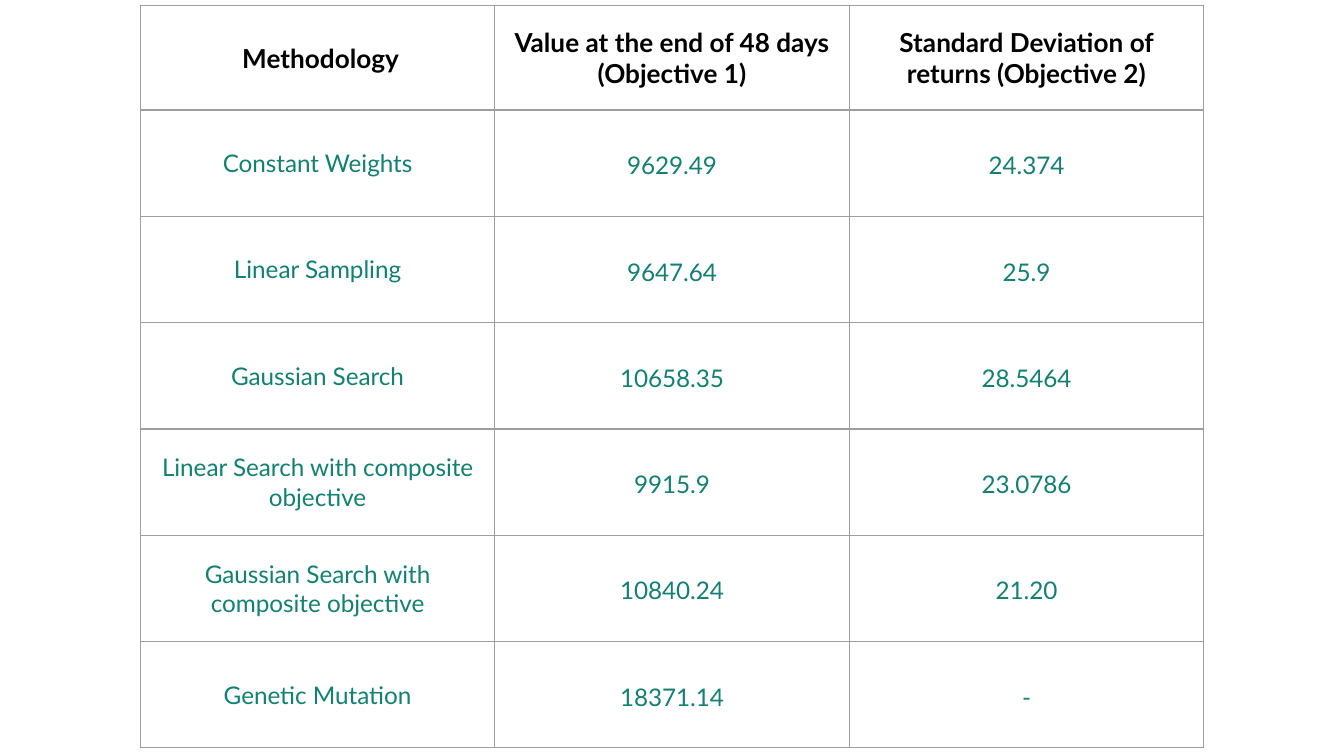
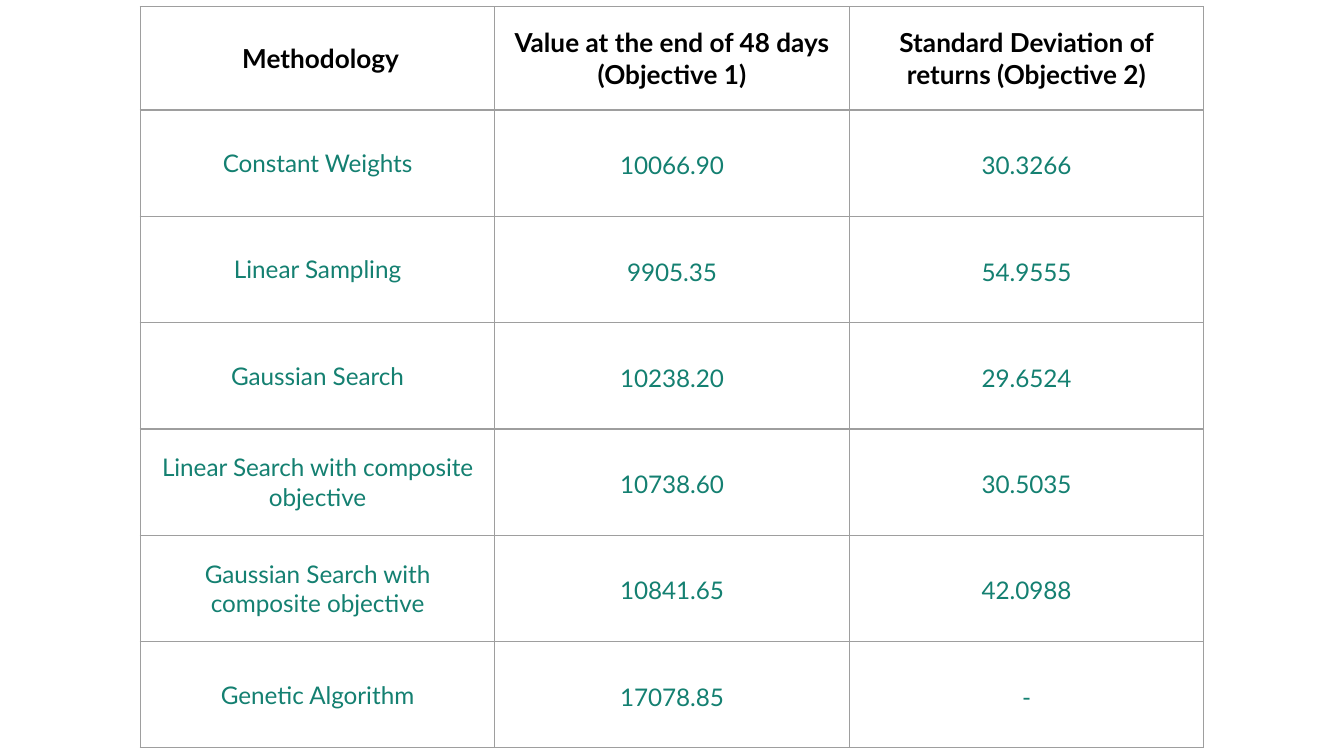
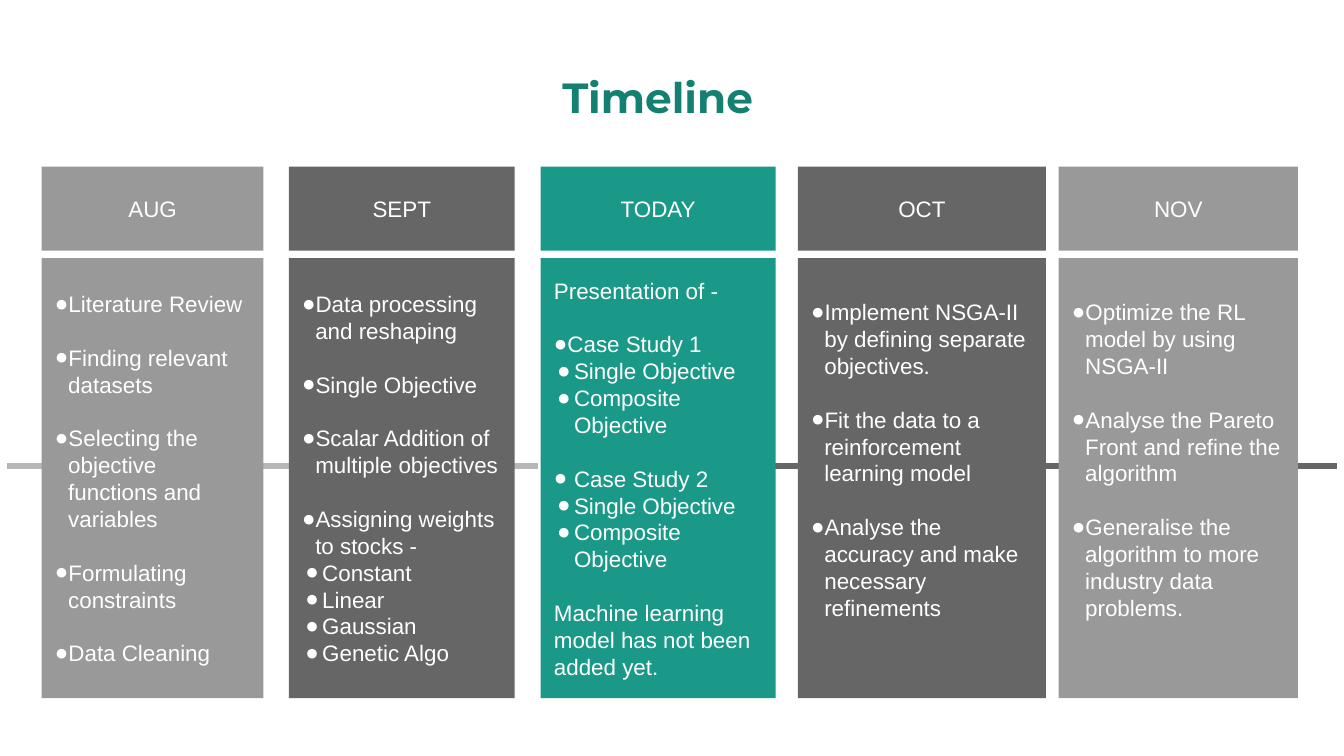
from lxml import etree
from pptx import Presentation
from pptx.dml.color import RGBColor
from pptx.enum.shapes import MSO_CONNECTOR, MSO_SHAPE
from pptx.enum.text import MSO_ANCHOR, PP_ALIGN
from pptx.oxml import parse_xml
from pptx.oxml.ns import qn
from pptx.util import Cm, Pt

RECT, LINE = MSO_SHAPE.RECTANGLE, MSO_CONNECTOR.STRAIGHT
MID, TOP = MSO_ANCHOR.MIDDLE, MSO_ANCHOR.TOP
LEFT, MIDST = PP_ALIGN.LEFT, PP_ALIGN.CENTER
NS = "http://schemas.openxmlformats.org/drawingml/2006/main"
HUES = {"teal": "148071", "now": "1A9988", "dark": "666666", "mid": "999999",
        "pale": "B7B7B7", "rule": "9E9E9E", "ink": "000000", "white": "FFFFFF"}
PAD = Cm(0.25)
STEP = Pt(14.4)  # line pitch of the timeline text


def hue(name):
    return RGBColor.from_string(HUES[name])


def write(par, text, font, size, tint, bold=False, align=MIDST):
    par.alignment = align
    run = par.add_run()
    run.text = text
    run.font.name, run.font.size, run.font.bold = font, Pt(size), bold
    run.font.color.rgb = hue(tint)


deck = Presentation()
deck.slide_width, deck.slide_height = Cm(25.4), Cm(14.29)
blank = deck.slide_layouts[6]

# Result tables: top, head height, last method, values, deviations
HEADS = [" Methodology", "Value at the end of 48 days (Objective 1)",
         "Standard Deviation of returns (Objective 2)"]
NAMES = ["Constant Weights", "Linear Sampling", "Gaussian Search",
         "Linear Search with composite objective",
         "Gaussian Search with composite objective"]
CASES = [
    (0.11, 1.97, "Genetic Mutation",
     ["9629.49", "9647.64", "10658.35", "9915.9", "10840.24", "18371.14"],
     ["24.374", "25.9", "28.5464", "23.0786", "21.20", "-"]),
    (0.13, 1.95, "Genetic Algorithm",
     ["10066.90", "9905.35", "10238.20", "10738.60", "10841.65", "17078.85"],
     ["30.3266", "54.9555", "29.6524", "30.5035", "42.0988", "-"]),
]
for top, high, last, gains, risks in CASES:
    slide = deck.slides.add_slide(blank)
    rows = [HEADS] + list(zip(NAMES + [last], gains, risks))
    grid = slide.shapes.add_table(len(rows), 3, Cm(2.65), Cm(top),
                                  Cm(20.1), Cm(14.03)).table
    grid.first_row = grid.horz_banding = False
    for col in grid.columns:
        col.width = Cm(6.7)
    for r, row in enumerate(rows):
        grid.rows[r].height = Cm(2.01 if r else high)
        for c, text in enumerate(row):
            cell = grid.cell(r, c)
            cell.vertical_anchor = MID
            cell.margin_left = cell.margin_right = PAD
            cell.margin_top = cell.margin_bottom = PAD
            cell.fill.solid()
            cell.fill.fore_color.rgb = hue("white")
            par = cell.text_frame.paragraphs[0]
            if r:
                write(par, text, "Lato", 13, "teal")
                if c:
                    par.line_spacing = 1.15
            else:
                write(par, text, "Lato", 14, "ink", True)
            # Cell borders
            prop = cell._tc.get_or_add_tcPr()
            for i, side in enumerate("LRTB"):
                prop.insert(i, parse_xml(
                    f'<a:ln{side} xmlns:a="{NS}" w="9525"><a:solidFill>'
                    f'<a:srgbClr val="{HUES["rule"]}"/></a:solidFill></a:ln{side}>'))

# Timeline: axis
slide = deck.slides.add_slide(blank)
for start, end, tint in [(10.74, 25.27, "dark"), (0.13, 10.16, "pale")]:
    axis = slide.shapes.add_connector(LINE, Cm(start), Cm(8.81), Cm(end), Cm(8.81))
    axis.line.color.rgb = hue(tint)
    axis.line.width = Pt(3)
    etree.SubElement(axis._element.spPr, qn("a:effectLst"))

# Timeline: title
box = slide.shapes.add_textbox(Cm(1.75), Cm(1.07), Cm(21.36), Cm(1.5))
box.text_frame.word_wrap = True
box.text_frame.vertical_anchor = MID
write(box.text_frame.paragraphs[0], "Timeline", "Montserrat", 22.6, "teal", True)

# Timeline: months as name, left, width, colour, anchor, items.
# An item is level (key of DENTS), gap before in lines, text.
MONTHS = [
    ("AUG", 0.79, 4.19, "mid", MID, [
        (1, 0, "Literature Review"),
        (1, 1, "Finding relevant datasets"),
        (1, 1, "Selecting the objective functions and variables"),
        (1, 1, "Formulating constraints"),
        (1, 1, "Data Cleaning")]),
    ("SEPT", 5.46, 4.27, "dark", MID, [
        (1, 0, "Data processing and reshaping"),
        (1, 1, "Single Objective"),
        (1, 1, "Scalar Addition of multiple objectives"),
        (1, 1, "Assigning weights to stocks -"),
        (2, 0, "Constant"),
        (2, 0, "Linear"),
        (2, 0, "Gaussian"),
        (2, 0, "Genetic Algo")]),
    ("TODAY", 10.22, 4.44, "now", MID, [
        (0, 0, "Presentation of -"),
        (1, 1, "Case Study 1"),
        (2, 0, "Single Objective"),
        (2, 0, "Composite Objective"),
        (3, 1, "Case Study 2"),
        (2, 0, "Single Objective"),
        (2, 0, "Composite Objective"),
        (0, 1, "Machine learning model has not been added yet.")]),
    ("OCT", 15.08, 4.69, "dark", TOP, [
        (1, 0, "Implement NSGA-II by defining separate objectives."),
        (1, 1, "Fit the data to a reinforcement learning model"),
        (1, 1, "Analyse the accuracy and make necessary refinements")]),
    ("NOV", 20.01, 4.52, "mid", TOP, [
        (1, 0, "Optimize the RL model by using NSGA-II"),
        (1, 1, "Analyse the Pareto Front and refine the algorithm"),
        (1, 1, "Generalise the algorithm to more industry data problems.")]),
]
DENTS = {1: (0.25, 0.32), 2: (0.38, 0.32), 3: (0.38, 0.45)}  # margin, hang
for name, left, width, tint, anchor, items in MONTHS:
    frames = []
    for top, height in [(3.15, 1.59), (4.88, 8.32)]:
        card = slide.shapes.add_shape(RECT, Cm(left), Cm(top), Cm(width), Cm(height))
        card.shadow.inherit = False
        card.fill.solid()
        card.fill.fore_color.rgb = hue(tint)
        card.line.fill.background()
        frame = card.text_frame
        frame.word_wrap = True
        frame.vertical_anchor = MID
        frame.margin_left = frame.margin_right = PAD
        frames.append(frame)
    head, body = frames
    write(head.paragraphs[0], name, "Arial", 12, "white")

    body.vertical_anchor = anchor
    if anchor == TOP:
        body.margin_top = Cm(0.76)
    for i, (level, gap, text) in enumerate(items):
        par = body.add_paragraph() if i else body.paragraphs[0]
        write(par, text, "Arial", 12, "white", align=LEFT)
        par.line_spacing = STEP
        par.space_before = STEP * gap
        if level:
            margin, hang = DENTS[level]
            prop = par._p.get_or_add_pPr()
            prop.set("marL", str(Cm(margin)))
            prop.set("indent", str(-Cm(hang)))
            tone = etree.SubElement(prop, qn("a:buClr"))
            etree.SubElement(tone, qn("a:srgbClr"), val=HUES["white"])
            etree.SubElement(prop, qn("a:buSzPts"), val="1200")
            etree.SubElement(prop, qn("a:buFont"), typeface="Arial")
            etree.SubElement(prop, qn("a:buChar"), char="●")

deck.save("out.pptx")
